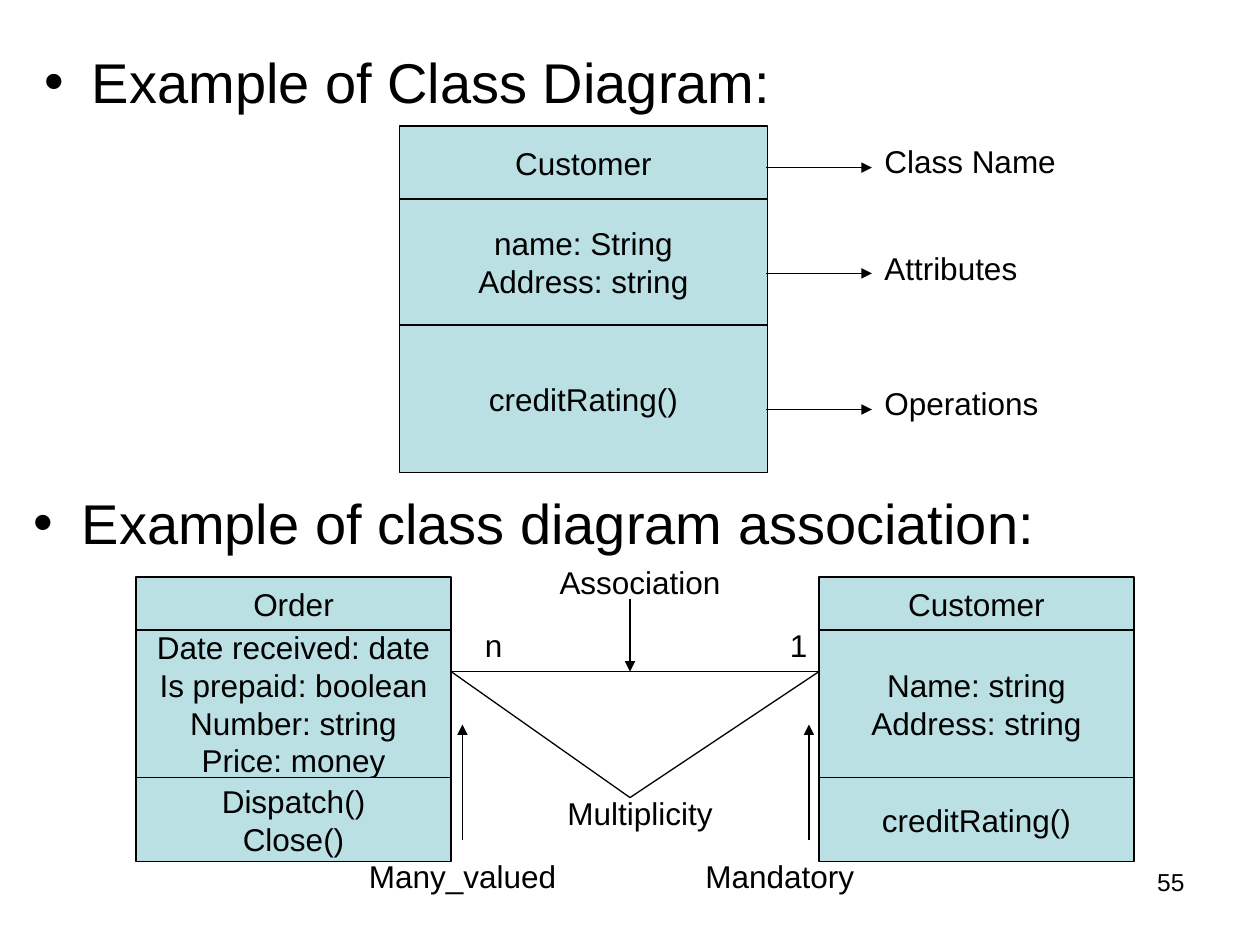
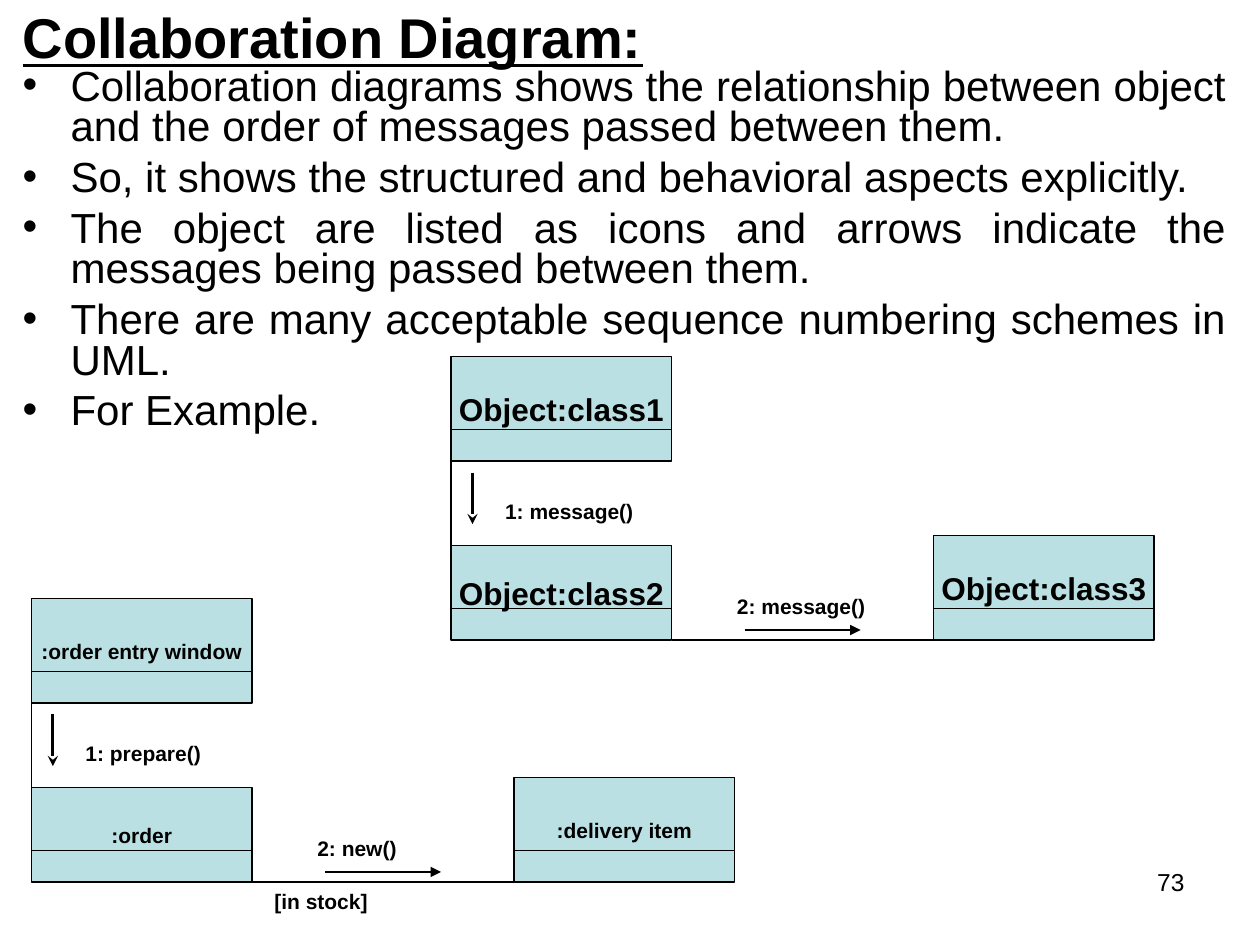
from pptx import Presentation
from pptx.dml.color import RGBColor
from pptx.enum.shapes import MSO_CONNECTOR, MSO_SHAPE
from pptx.enum.text import MSO_ANCHOR, MSO_AUTO_SIZE, PP_ALIGN as ALIGN
from pptx.oxml.ns import qn
from pptx.util import Inches, Pt
from lxml.etree import SubElement

BLACK, BOX_FILL = "000000", "BBE0E3"
FONT = "Arial"
color = RGBColor.from_string
TITLE_SIZE, BODY_SIZE, LABEL_SIZE, SMALL_SIZE, NUMBER_SIZE = 32, 24, 18, 12, 14
NUMBER_AREA = (7.17, 6.83, 2.33, 0.52)


def write(shape, lines, size, align=ALIGN.LEFT, bold=False, bullet=False, gap=0, filled=False):
    """Fill a shape with text lines; a filled shape is a diagram box."""
    frame = shape.text_frame
    frame.text = "\n".join(lines)
    frame.auto_size = MSO_AUTO_SIZE.NONE
    frame.word_wrap = not filled
    if filled:
        frame.vertical_anchor = MSO_ANCHOR.MIDDLE
        shape.shadow.inherit = False
        shape.fill.solid()
        shape.fill.fore_color.rgb = color(BOX_FILL)
        shape.line.color.rgb = color(BLACK)
        shape.line.width = Pt(0.75)
    for index, para in enumerate(frame.paragraphs):
        if bullet:
            props = para._p.get_or_add_pPr()
            props.set("marL", str(Inches(0.38)))
            props.set("indent", str(-Inches(0.38)))
            SubElement(props, qn("a:buFont"), typeface=FONT)
            SubElement(props, qn("a:buChar"), char="•")
        para.alignment = align
        para.space_before = Pt(gap if index else 0)
        para.font.name = FONT
        para.font.size = Pt(size)
        para.font.bold = bold
        para.font.color.rgb = color(BLACK)


def draw_line(page, start, end, width=0.75, head=None):
    """Draw a straight line, with an arrowhead at its end if one is named."""
    line = page.shapes.add_connector(MSO_CONNECTOR.STRAIGHT, *map(Inches, start + end))
    line.line.color.rgb = color(BLACK)
    line.line.width = Pt(width)
    if head:
        SubElement(line.line._get_or_add_ln(), qn("a:tailEnd"), type=head)
    SubElement(line._element.spPr, qn("a:effectLst"))


deck = Presentation()
deck.slide_width, deck.slide_height = Inches(10), Inches(7.5)
layout = deck.slide_layouts[1]

# Slide 1: class diagrams
page = deck.slides.add_slide(layout)
title = page.shapes.title
title._element.getparent().remove(title._element)
body = page.placeholders[1]
body.left, body.top, body.width, body.height = map(Inches, (0.25, 0.33, 9.75, 0.67))
write(body, ["Example of Class Diagram:"], TITLE_SIZE, ALIGN.JUSTIFY, bullet=True)
heading = page.shapes.add_textbox(*map(Inches, (0.17, 3.83, 9.75, 0.67)))
write(heading, ["Example of class diagram association:"], TITLE_SIZE, ALIGN.JUSTIFY, bullet=True)

# Classes: left, top, width, then the height and lines of each compartment
classes = [
    (3.17, 1, 2.92, [(0.58, ["Customer"]),
                     (1, ["name: String", "Address: string"]),
                     (1.17, ["creditRating()"])]),
    (1.08, 4.58, 2.5, [(0.42, ["Order"]),
                       (1.17, ["Date received: date", "Is prepaid: boolean",
                               "Number: string", "Price: money"]),
                       (0.67, ["Dispatch()", "Close()"])]),
    (6.5, 4.58, 2.5, [(0.42, ["Customer"]),
                      (1.17, ["Name: string", "Address: string"]),
                      (0.67, ["creditRating()"])]),
]
for left, top, width, compartments in classes:
    for height, lines in compartments:
        box = page.shapes.add_shape(MSO_SHAPE.RECTANGLE, *map(Inches, (left, top, width, height)))
        write(box, lines, LABEL_SIZE, ALIGN.CENTER, filled=True)
        top += height

# Arrows to the names of the class parts
for y in (1.33, 2.17, 3.25):
    draw_line(page, (6.08, y), (6.92, y), head="triangle")

# Association, its multiplicity and the arrows that explain them
many_end, one_end, vertex = (3.58, 5.33), (6.5, 5.33), (5, 6.33)
for start, end in ((many_end, one_end), (many_end, vertex), (vertex, one_end)):
    draw_line(page, start, end)
for x, start_y, end_y in ((3.67, 6.67, 5.75), (6.42, 6.67, 5.75), (5, 4.75, 5.33)):
    draw_line(page, (x, start_y), (x, end_y), head="triangle")

labels = [
    ("Class Name", 6.92, 1.08, 2.42, ALIGN.LEFT),
    ("Attributes", 6.92, 1.93, 2.42, ALIGN.LEFT),
    ("Operations", 6.92, 3, 2.42, ALIGN.LEFT),
    ("Multiplicity", 4.33, 6.25, 1.5, ALIGN.CENTER),
    ("Many_valued", 2.83, 6.75, 1.92, ALIGN.LEFT),
    ("Mandatory", 5.5, 6.75, 1.92, ALIGN.LEFT),
    ("n", 3.75, 4.92, 0.67, ALIGN.LEFT),
    ("1", 6.17, 4.92, 0.67, ALIGN.LEFT),
    ("Association", 4.08, 4.42, 2, ALIGN.CENTER),
]
for words, left, top, width, align in labels:
    label = page.shapes.add_textbox(*map(Inches, (left, top, width, 0.4)))
    write(label, [words], LABEL_SIZE, align)

# Slide 2: collaboration diagrams
page = deck.slides.add_slide(layout)
title, body = page.shapes.title, page.placeholders[1]
title.left, title.top, title.width, title.height = map(Inches, (0.08, 0.08, 9, 0.42))
write(title, ["Collaboration Diagram:"], TITLE_SIZE, bold=True)
title.text_frame.vertical_anchor = MSO_ANCHOR.MIDDLE
title.text_frame.paragraphs[0].font.underline = True

body.left, body.top, body.width, body.height = map(Inches, (0.08, 0.5, 9.75, 3.17))
write(body, [
    "Collaboration diagrams shows the relationship between object and the order of "
    "messages passed between them.",
    "So, it shows the structured and behavioral aspects explicitly.",
    "The object are listed as icons and arrows indicate the messages being passed between them.",
    "There are many acceptable sequence numbering schemes in UML.",
    "For Example.",
], BODY_SIZE, ALIGN.JUSTIFY, bullet=True, gap=6)
for para in body.text_frame.paragraphs:
    para.line_spacing = 0.8

# Two diagrams of the same layout: corner, object text size, objects, messages
object_places = [(0, 0, 0.83), (0, 1.5, 0.75), (3.83, 1.42, 0.83)]
message_places = [(0.33, 1.08), (2.17, 1.83)]
diagrams = [
    (3.58, 2.83, LABEL_SIZE, ["Object:class1", "Object:class2", "Object:class3"],
     ["1: message()", "2: message()"]),
    (0.25, 4.75, SMALL_SIZE, [":order entry window", ":order", ":delivery item"],
     ["1: prepare()", "2: new()"]),
]
for x, y, size, objects, messages in diagrams:
    # Links between objects, then message arrows
    draw_line(page, (x, y + 0.83), (x, y + 1.58))
    draw_line(page, (x + 1.75, y + 2.25), (x + 3.83, y + 2.25))
    draw_line(page, (x + 0.17, y + 0.92), (x + 0.17, y + 1.33), 1.75, "stealth")
    draw_line(page, (x + 2.33, y + 2.17), (x + 3.25, y + 2.17), 1.5, "triangle")
    for message, (dx, dy) in zip(messages, message_places):
        label = page.shapes.add_textbox(*map(Inches, (x + dx, y + dy, 1.42, 0.3)))
        write(label, [message], SMALL_SIZE, bold=True)
    for name, (dx, dy, height) in zip(objects, object_places):
        left, top = x + dx, y + dy
        box = page.shapes.add_shape(MSO_SHAPE.RECTANGLE, *map(Inches, (left, top, 1.75, height)))
        write(box, [name], size, ALIGN.CENTER, bold=True, filled=True)
        divider = top + height - 0.25
        draw_line(page, (left, divider), (left + 1.75, divider))

condition = page.shapes.add_textbox(*map(Inches, (2.08, 7, 1, 0.3)))
write(condition, ["[in stock]"], SMALL_SIZE, bold=True)

# Page numbers
for page, number in zip(deck.slides, ("55", "73")):
    box = page.shapes.add_textbox(*map(Inches, NUMBER_AREA))
    write(box, [number], NUMBER_SIZE, ALIGN.RIGHT)

deck.save("out.pptx")
